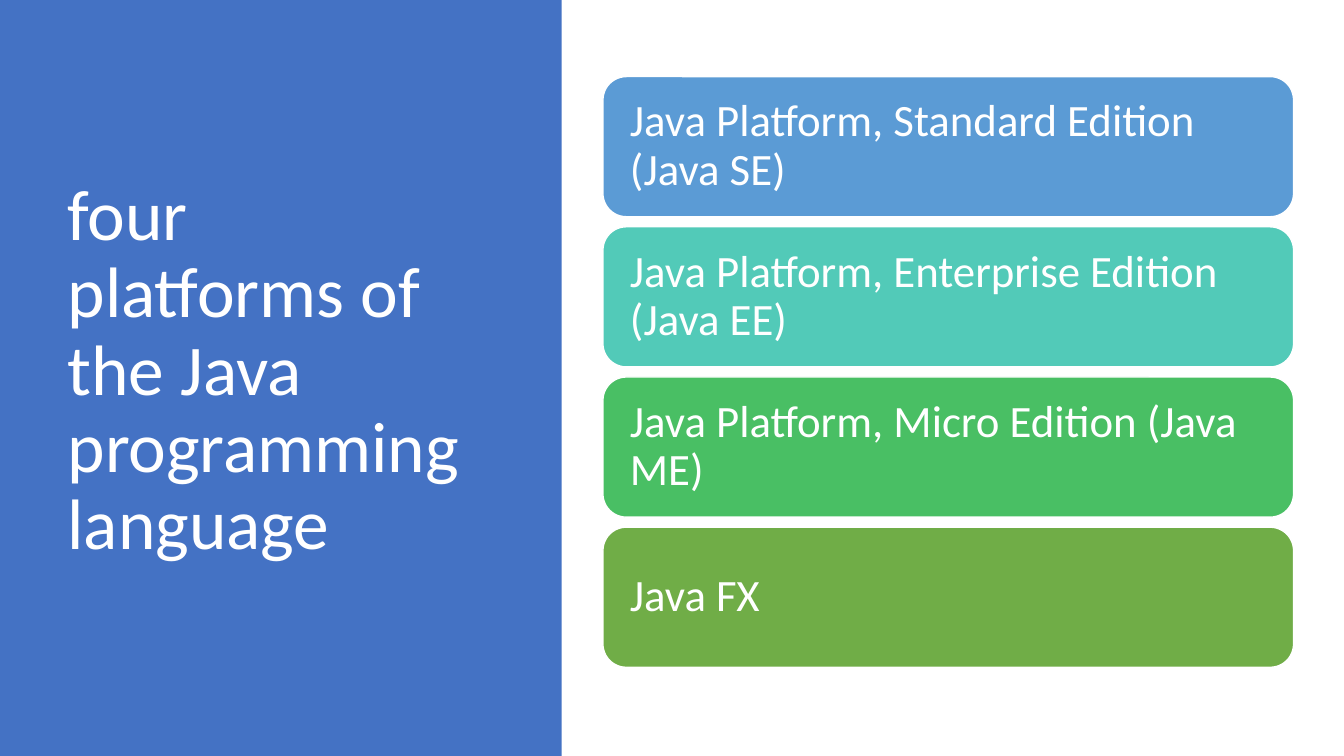
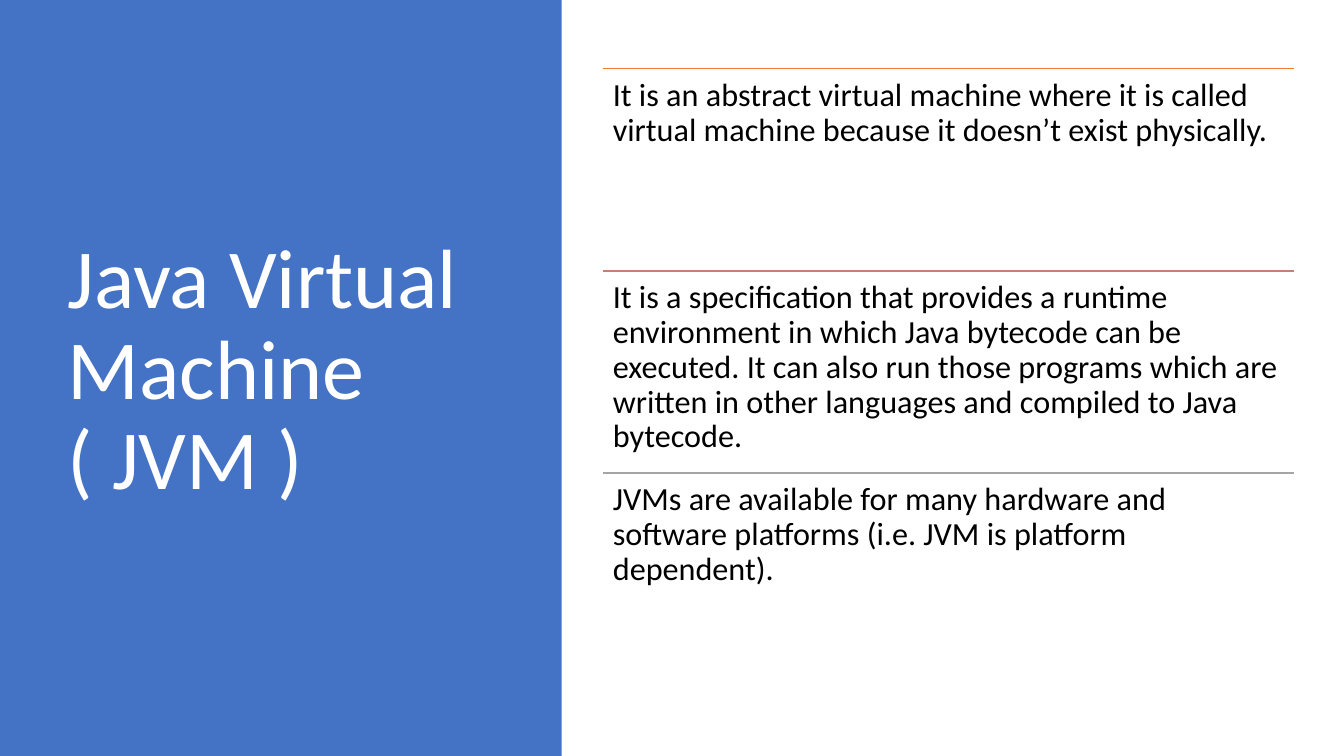
from lxml import etree
from pptx import Presentation
from pptx.dml.color import RGBColor
from pptx.enum.shapes import MSO_CONNECTOR, MSO_SHAPE
from pptx.enum.text import MSO_ANCHOR, MSO_AUTO_SIZE, PP_ALIGN
from pptx.oxml.ns import qn
from pptx.util import Inches, Pt

RECT, ROUNDED = MSO_SHAPE.RECTANGLE, MSO_SHAPE.ROUNDED_RECTANGLE
STRAIGHT = MSO_CONNECTOR.STRAIGHT
TOP, MIDDLE = MSO_ANCHOR.TOP, MSO_ANCHOR.MIDDLE
LEFT, NO_FIT = PP_ALIGN.LEFT, MSO_AUTO_SIZE.NONE

WHITE = RGBColor(0xFF, 0xFF, 0xFF)
BLACK = RGBColor(0x00, 0x00, 0x00)
PANEL_BLUE = RGBColor(0x44, 0x72, 0xC4)
SKY = RGBColor(0x5B, 0x9B, 0xD5)
TEAL = RGBColor(0x52, 0xCA, 0xB8)
GREEN = RGBColor(0x49, 0xBF, 0x64)
OLIVE = RGBColor(0x70, 0xAD, 0x47)
ORANGE = RGBColor(0xED, 0x7D, 0x31)
CLAY = RGBColor(0xC4, 0x81, 0x70)
GREY = RGBColor(0xA5, 0xA5, 0xA5)

# Layout in inches
SLIDE_W, SLIDE_H = 13.33, 7.5
PANEL_W = 5.57
TITLE_BOX = (0.57, 0.68, 4.16, 6.02)
COL_X, COL_W = 5.98, 6.85


def put_text(shape, text, size, color=WHITE, anchor=MIDDLE, inset=0.1):
    tf = shape.text_frame
    tf.word_wrap = True
    tf.auto_size = NO_FIT
    tf.vertical_anchor = anchor
    tf.margin_left = tf.margin_right = Inches(inset)
    tf.margin_top = tf.margin_bottom = Inches(inset)
    p = tf.paragraphs[0]
    p.alignment = LEFT
    p.line_spacing = 0.9
    r = p.add_run()
    r.text = text
    r.font.name = "Calibri"
    r.font.size = Pt(size)
    r.font.color.rgb = color


def rows(top, height, count, gap=0):
    """Yield the top and height of equal rows."""
    row_h = (height - gap * (count - 1)) / count
    for i in range(count):
        yield top + i * (row_h + gap), row_h


class Deck:
    def __init__(self):
        self.prs = Presentation()
        self.prs.slide_width = Inches(SLIDE_W)
        self.prs.slide_height = Inches(SLIDE_H)
        self.s = None

    def slide(self, title, size):
        """Start a slide with the blue side panel and its title."""
        self.s = self.prs.slides.add_slide(self.prs.slide_layouts[5])
        sp = self.s.shapes.title
        sp.left, sp.top, sp.width, sp.height = map(Inches, TITLE_BOX)
        put_text(sp, title, size)
        panel = self.box(RECT, (0, 0, PANEL_W, SLIDE_H), PANEL_BLUE)
        sp.element.addprevious(panel.element)

    def box(self, kind, place, fill, line=None):
        sp = self.s.shapes.add_shape(kind, *map(Inches, place))
        sp.shadow.inherit = False
        sp.fill.solid()
        sp.fill.fore_color.rgb = fill
        if line is None:
            sp.line.fill.background()
        else:
            sp.line.color.rgb = line
            sp.line.width = Pt(1)
        return sp

    def cards(self, items, top, height, gap):
        for (text, fill), (y, h) in zip(items, rows(top, height, len(items), gap)):
            sp = self.box(ROUNDED, (COL_X, y, COL_W, h), fill, WHITE)
            put_text(sp, text, 32, inset=0.2)

    def rule(self, y, color):
        line = self.s.shapes.add_connector(
            STRAIGHT, *map(Inches, (COL_X, y, COL_X + COL_W, y)))
        line.line.color.rgb = color
        line.line.width = Pt(1)
        etree.SubElement(line.element.spPr, qn("a:effectLst"))

    def ruled_texts(self, items, top, height):
        for (text, color), (y, h) in zip(items, rows(top, height, len(items))):
            self.rule(y, color)
            tb = self.s.shapes.add_textbox(*map(Inches, (COL_X, y, COL_W, h)))
            put_text(tb, text, 23, color=BLACK, anchor=TOP)


def main():
    deck = Deck()

    # Java platforms
    deck.slide("four platforms of the Java programming language", 51)
    deck.cards([
        ("Java Platform, Standard Edition (Java SE)", SKY),
        ("Java Platform, Enterprise Edition (Java EE)", TEAL),
        ("Java Platform, Micro Edition (Java ME)", GREEN),
        ("Java FX", OLIVE),
    ], top=0.76, height=5.86, gap=0.1)

    # Virtual machine
    deck.slide("Java Virtual Machine ( JVM )", 60)
    deck.ruled_texts([
        ("It is an abstract virtual machine where it is called virtual machine "
         "because it doesn’t exist physically.", ORANGE),
        ("It is a specification that provides a runtime environment in which "
         "Java bytecode can be executed. It can also run those programs which "
         "are written in other languages and compiled to Java bytecode.", CLAY),
        ("JVMs are available for many hardware and software platforms "
         "(i.e. JVM is platform dependent).", GREY),
    ], top=0.68, height=6.02)

    deck.prs.save("out.pptx")


if __name__ == "__main__":
    main()
